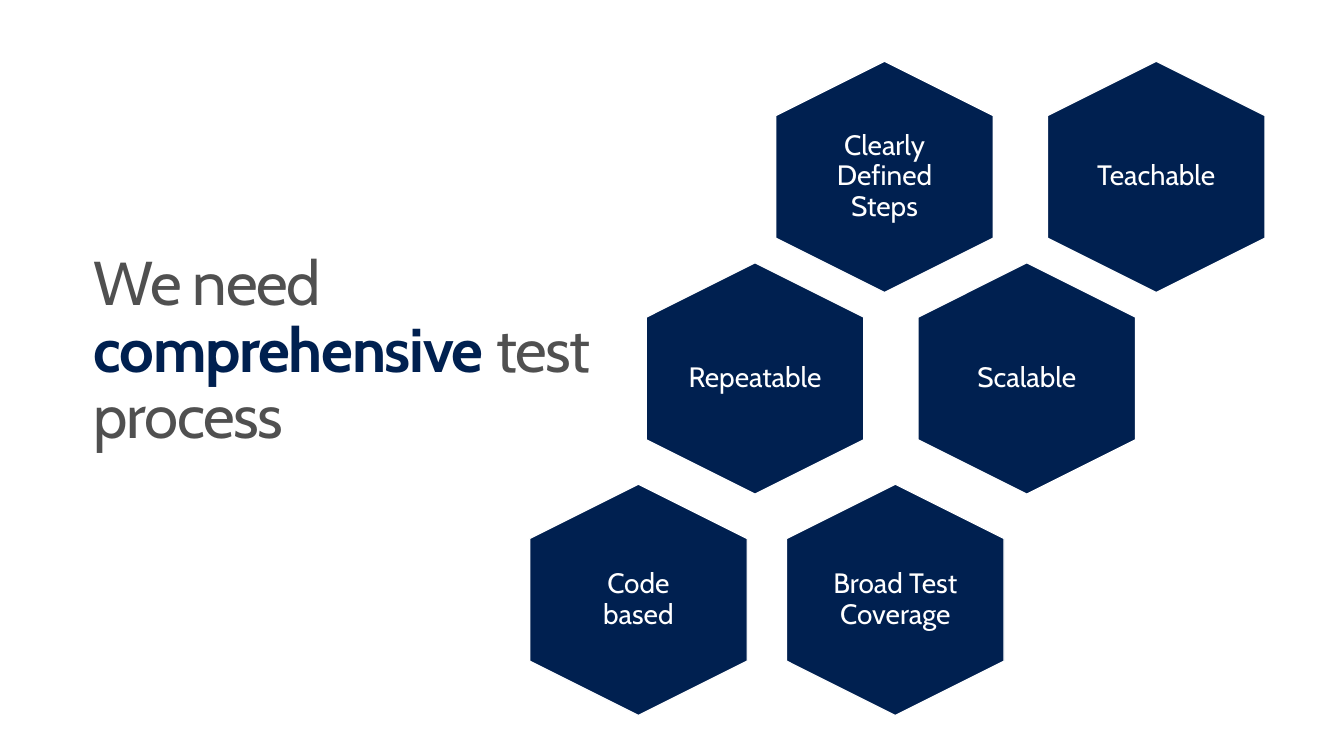
import pptx
import pptx.dml.color
import pptx.enum.shapes
import pptx.enum.text
import pptx.util
from pptx.util import Inches

NAVY, GREY, WHITE = "002050", "505050", "FFFFFF"
FONT = "Cabin"
HEX_W, HEX_H = 2.34, 2.2
LABEL_H = 1.61

# top, left of the first hexagon, step to the next one, labels with their widths
ROWS = [
    (0.69, 7.78, 2.75, [("Clearly Defined Steps", 1.52), ("Teachable", 1.52)]),
    (2.73, 6.47, 2.75, [("Repeatable", 1.92), ("Scalable", 1.52)]),
    (4.97, 5.29, 2.6, [("Code based", 1.52), ("Broad Test Coverage", 1.52)]),
]


def rgb(value):
    return pptx.dml.color.RGBColor.from_string(value)


def add_text(slide, left, top, width, height, inset_x, inset_y):
    """Add a wrapping text box and return its text frame."""
    box = slide.shapes.add_textbox(Inches(left), Inches(top), Inches(width), Inches(height))
    tf = box.text_frame
    tf.word_wrap = True
    tf.margin_left = tf.margin_right = Inches(inset_x)
    tf.margin_top = tf.margin_bottom = Inches(inset_y)
    tf.paragraphs[0].line_spacing = 0.9
    return tf


def add_run(p, text, size, color, bold=False):
    r = p.add_run()
    r.text = text
    r.font.name = FONT
    r.font.size = pptx.util.Pt(size)
    r.font.bold = bold
    r.font.color.rgb = rgb(color)
    return r


def add_title(slide):
    p = add_text(slide, 0.79, 2.45, 5.56, 3.18, 0.16, 0.1).paragraphs[0]
    for text, color, bold in [
        ("We need ", GREY, False),
        ("comprehensive", NAVY, True),
        (" test process", GREY, False),
    ]:
        r = add_run(p, text, 45, color, bold)
        r.font._element.set("spc", "-100")


def add_hexagon(slide, left, top):
    sp = slide.shapes.add_shape(
        pptx.enum.shapes.MSO_SHAPE.HEXAGON,
        Inches(left), Inches(top), Inches(HEX_W), Inches(HEX_H),
    )
    sp.rotation = 90
    sp.adjustments[0] = 0.25
    sp.shadow.inherit = False
    sp.fill.solid()
    sp.fill.fore_color.rgb = rgb(NAVY)
    sp.line.color.rgb = rgb(WHITE)
    sp.line.width = pptx.util.Pt(0.85)


def add_label(slide, text, center_x, center_y, width):
    tf = add_text(slide, center_x - width / 2, center_y - LABEL_H / 2, width, LABEL_H, 0.08, 0.08)
    tf.vertical_anchor = pptx.enum.text.MSO_ANCHOR.MIDDLE
    p = tf.paragraphs[0]
    p.alignment = pptx.enum.text.PP_ALIGN.CENTER
    add_run(p, text, 20.4, WHITE)


def main():
    prs = pptx.Presentation()
    prs.slide_width, prs.slide_height = Inches(13.6), Inches(7.65)
    slide = prs.slides.add_slide(prs.slide_layouts[6])
    add_title(slide)
    for top, first_left, step, labels in ROWS:
        for i, (text, width) in enumerate(labels):
            left = first_left + i * step
            add_hexagon(slide, left, top)
            add_label(slide, text, left + HEX_W / 2, top + HEX_H / 2, width)
    prs.save("out.pptx")


if __name__ == "__main__":
    main()
